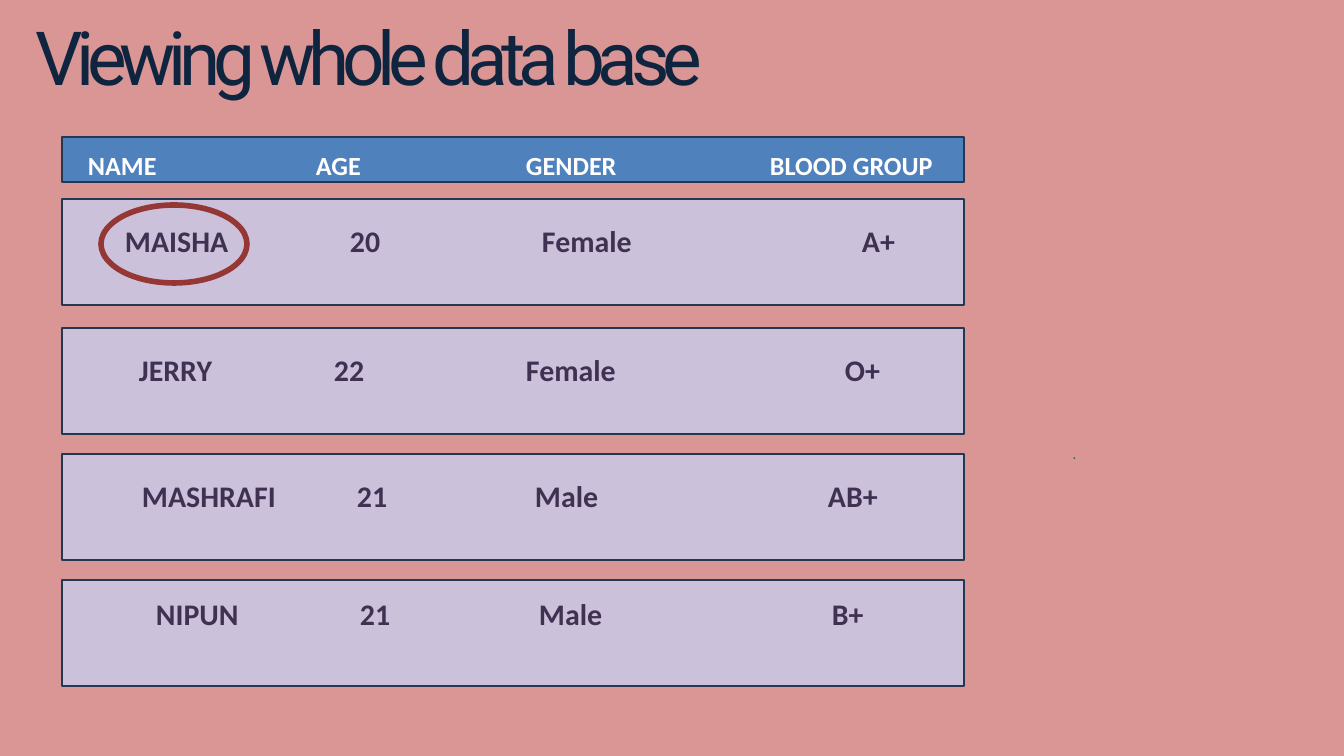
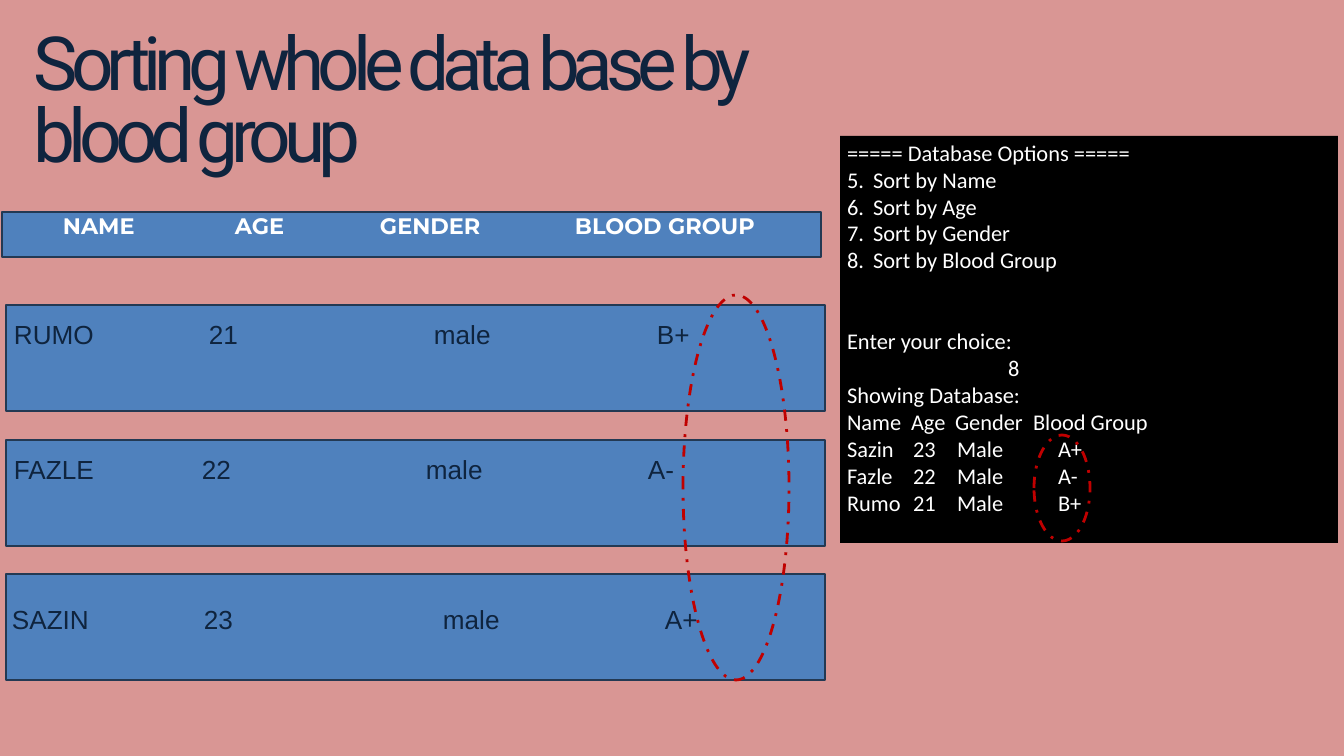
"""Build two slides that list and sort a blood donor database."""
import lxml.etree
import pptx
import pptx.dml.color
import pptx.enum.dml
import pptx.enum.shapes
import pptx.enum.text
import pptx.oxml.ns
import pptx.util

RGB = pptx.dml.color.RGBColor
Pt = pptx.util.Pt
KIND = pptx.enum.shapes.MSO_SHAPE
ALIGN = pptx.enum.text.PP_ALIGN

ROSE = RGB(0xD9, 0x96, 0x94)
NAVY = RGB(0x0F, 0x24, 0x3E)
EDGE = RGB(0x23, 0x39, 0x53)
BLUE = RGB(0x4F, 0x81, 0xBD)
LILAC = RGB(0xCC, 0xC1, 0xDA)
PLUM = RGB(0x40, 0x31, 0x52)
BROWN = RGB(0x95, 0x37, 0x35)
RED = RGB(0xC0, 0x00, 0x00)
TEAL = RGB(0x15, 0x66, 0x69)
WHITE = RGB(0xFF, 0xFF, 0xFF)
BLACK = RGB(0x00, 0x00, 0x00)

SCALE = 914400 / 67.2
BEARING = 2
HEADS = ("NAME", "AGE", "GENDER", "BLOOD GROUP")

HEAD_ONE = dict(fill=BLUE, size=28, face="Calibri", color=WHITE, bold=True)
ROW_ONE = dict(fill=LILAC, size=32, face="Calibri", color=PLUM, bold=True)
HEAD_TWO = dict(fill=BLUE, size=24, face="Montserrat", color=WHITE, bold=True)
ROW_TWO = dict(fill=BLUE, size=28, face="Arial", color=NAVY, bold=False)

VIEW = [
    (HEAD_ONE, (62, 137, 902, 45), 12, HEADS, (90, 318, 528, 772)),
    (ROW_ONE, (62, 199, 902, 106), 24, ("MAISHA", "20", "Female", "A+"), (127, 352, 544, 864)),
    (ROW_ONE, (62, 328, 902, 106), 24, ("JERRY", "22", "Female", "O+"), (141, 336, 528, 847)),
    (ROW_ONE, (62, 454, 902, 106), 24, ("MASHRAFI", "21", "Male", "AB+"), (144, 359, 537, 830)),
    (ROW_ONE, (62, 580, 902, 106), 16, ("NIPUN", "21", "Male", "B+"), (158, 362, 541, 834)),
]
SORT = [
    (HEAD_TWO, (2, 212, 819, 45), 0, HEADS, (65, 237, 382, 577)),
    (ROW_TWO, (6, 305, 819, 106), 13, ("RUMO", "21", "male", "B+"), (16, 211, 436, 659)),
    (ROW_TWO, (6, 440, 819, 106), 13, ("FAZLE", "22", "male", "A-"), (16, 204, 428, 650)),
    (ROW_TWO, (6, 574, 819, 106), 29, ("SAZIN", "23", "male", "A+"), (14, 206, 445, 667)),
]
COLS = (66, 110, 211)
CONSOLE = [
    ("===== Database Options =====", {}),
    ("Sort by Name", {"num": 5}),
    ("Sort by Age", {"num": 5}),
    ("Sort by Gender", {"num": 5}),
    ("Sort by Blood Group", {"num": 5}),
    ("Enter your choice:", {"gap": 58}),
    ("8", {"left": 161}),
    ("Showing Database:", {}),
    ("Name\tAge\tGender\tBlood Group", {"tabs": (64, 108, 186)}),
    ("Sazin\t23\tMale\tA+", {"tabs": COLS}),
    ("Fazle\t22\tMale\tA-", {"tabs": COLS}),
    ("Rumo\t21\tMale\tB+", {"tabs": COLS}),
]


def px(n):
    return pptx.util.Emu(round(n * SCALE))


def add_sub(node, tag, **attrs):
    return lxml.etree.SubElement(node, pptx.oxml.ns.qn(tag), attrs)


def add_tabs(para, stops):
    tabs = add_sub(para._p.get_or_add_pPr(), "a:tabLst")
    for stop in stops:
        add_sub(tabs, "a:tab", pos=str(px(stop)), algn="l")


def add_run(para, text, size, face, color, bold=False):
    run = para.add_run()
    run.text = text
    font = run.font
    font.size, font.name, font.bold = Pt(size), face, bold
    font.color.rgb = color
    return run


def set_frame(shape, left=0, top=0, right=0):
    frame = shape.text_frame
    frame.word_wrap = True
    frame.auto_size = pptx.enum.text.MSO_AUTO_SIZE.NONE
    frame.vertical_anchor = pptx.enum.text.MSO_ANCHOR.TOP
    frame.margin_left, frame.margin_top = px(left), px(top)
    frame.margin_right, frame.margin_bottom = px(right), 0
    return frame


def add_form(slide, kind, box, fill=None, edge=None, width=2, dash=None):
    shape = slide.shapes.add_shape(kind, *map(px, box))
    shape.shadow.inherit = False
    if fill is None:
        shape.fill.background()
    else:
        shape.fill.solid()
        shape.fill.fore_color.rgb = fill
    if edge is None:
        shape.line.fill.background()
    else:
        shape.line.color.rgb = edge
        shape.line.width = Pt(width)
        if dash:
            shape.line.dash_style = dash
    return shape


def add_page(deck, title, box, align):
    slide = deck.slides.add_slide(deck.slide_layouts[5])
    slide.background.fill.solid()
    slide.background.fill.fore_color.rgb = ROSE
    head = slide.shapes.title
    head.left, head.top, head.width, head.height = map(px, box)
    para = set_frame(head).paragraphs[0]
    para.alignment = align
    para.line_spacing = Pt(76.8)
    run = add_run(para, title, 80, "Roboto", NAVY)
    run.font._element.set("spc", "-770")
    return slide


def add_rows(slide, rows):
    for look, box, top, words, spots in rows:
        shape = add_form(slide, KIND.RECTANGLE, box, look["fill"], EDGE)
        frame = set_frame(shape, spots[0] - box[0] - BEARING, top)
        para = frame.paragraphs[0]
        para.alignment = ALIGN.LEFT
        add_tabs(para, [spot - spots[0] for spot in spots[1:]])
        add_run(para, "\t".join(words), look["size"], look["face"], look["color"], look["bold"])


def add_console(slide):
    frame = set_frame(add_form(slide, KIND.RECTANGLE, (840, 136, 498, 407), BLACK), 7, 3, 7)
    for i, (text, style) in enumerate(CONSOLE):
        para = frame.add_paragraph() if i else frame.paragraphs[0]
        para.alignment = ALIGN.LEFT
        props = para._p.get_or_add_pPr()
        if "gap" in style:
            para.space_before = Pt(style["gap"])
        if "left" in style:
            props.set("marL", str(px(style["left"])))
        if "num" in style:
            props.set("marL", str(px(26)))
            props.set("indent", str(px(-26)))
            add_sub(props, "a:buFont", typeface="+mj-lt")
            add_sub(props, "a:buAutoNum", type="arabicPeriod", startAt=str(style["num"]))
        if "tabs" in style:
            add_tabs(para, style["tabs"])
        add_run(para, text, 24, "Calibri", WHITE)


def main():
    deck = pptx.Presentation()
    deck.slide_width, deck.slide_height = px(1344), px(756)

    view = add_page(deck, "Viewing whole data base", (-22, 29, 782, 73), ALIGN.CENTER)
    dot = view.shapes.add_textbox(*map(px, (936, 438, 277, 22)))
    para = set_frame(dot).paragraphs[0]
    para.alignment = ALIGN.CENTER
    para.line_spacing = Pt(26.5)
    add_run(para, ".", 16.2, "Arial", TEAL)
    add_rows(view, VIEW)
    add_form(view, KIND.OVAL, (101, 205, 146, 78), edge=BROWN, width=6)

    sort = add_page(deck, "Sorting whole data base by blood group", (34, 34, 782, 145), ALIGN.LEFT)
    add_rows(sort, SORT)
    add_console(sort)
    for ring in ((683, 295, 106, 385), (1034, 435, 56, 106)):
        add_form(sort, KIND.OVAL, ring, edge=RED, width=3, dash=pptx.enum.dml.MSO_LINE.DASH_DOT)

    deck.save("out.pptx")


if __name__ == "__main__":
    main()
